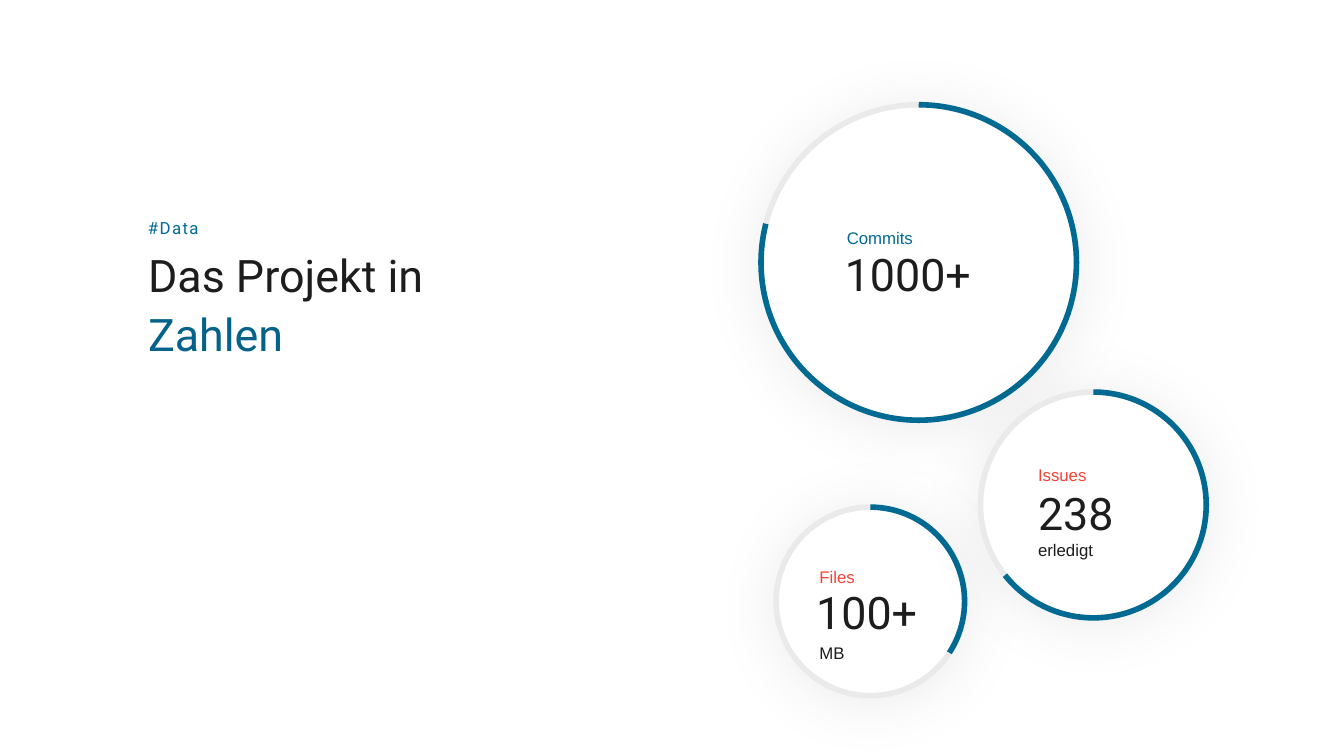
"""Build the slide with project figures in three progress rings."""
from lxml.etree import SubElement
from pptx import Presentation
from pptx.dml.color import RGBColor
from pptx.enum.shapes import MSO_SHAPE as Preset
from pptx.enum.text import MSO_ANCHOR as Anchor, MSO_AUTO_SIZE as AutoSize, PP_ALIGN as Align
from pptx.oxml.ns import qn
from pptx.util import Cm, Pt

WHITE = RGBColor(0xFF, 0xFF, 0xFF)
TRACK = RGBColor(0xEA, 0xEA, 0xEA)
BLUE = RGBColor(0x00, 0x6A, 0x92)
DEEP_BLUE = RGBColor(0x03, 0x62, 0x89)
RED = RGBColor(0xF4, 0x43, 0x36)
INK = RGBColor(0x1D, 0x1D, 0x1D)

START_ANGLE = 270
ADJUST_PER_DEGREE = 0.6


def write(paragraph, text, *, size=12, font="Arial", color=INK, spacing=1.5, tracking=0):
    """Put formatted text into a paragraph."""
    paragraph.alignment = Align.LEFT
    paragraph.line_spacing = spacing
    paragraph.space_before = Pt(0)
    run = paragraph.add_run()
    run.text = text
    run.font.size = Pt(size)
    run.font.name = font
    run.font.color.rgb = color
    if tracking:
        run.font._element.set("spc", str(tracking * 100))


def prepare(frame, anchor=Anchor.TOP, right=0, vertical=0):
    """Set wrapping, growth, anchor and margins of a text frame."""
    frame.word_wrap = True
    frame.auto_size = AutoSize.SHAPE_TO_FIT_TEXT
    frame.vertical_anchor = anchor
    frame.margin_left = 0
    frame.margin_right = Cm(right)
    frame.margin_top = frame.margin_bottom = Cm(vertical)


def add_text(shapes, box, text, *, anchor=Anchor.TOP, right=0.25, vertical=0, **style):
    """Add a one-line text box."""
    frame = shapes.add_textbox(*map(Cm, box)).text_frame
    prepare(frame, anchor, right, vertical)
    write(frame.paragraphs[0], text, **style)


def add_soft_shadow(shape):
    """Give a shape a wide, faint shadow below it."""
    effects = shape._element.spPr.find(qn("a:effectLst"))
    shadow = SubElement(effects, qn("a:outerShdw"), blurRad=str(Pt(45)), dist=str(Pt(3)),
                        dir="5400000", algn="t", rotWithShape="0")
    black = SubElement(shadow, qn("a:srgbClr"), val="000000")
    SubElement(black, qn("a:alpha"), val="8000")


def add_outline(shapes, preset, left, top, diameter, color):
    """Add a round shape with a thick line."""
    shape = shapes.add_shape(preset, Cm(left), Cm(top), Cm(diameter), Cm(diameter))
    shape.shadow.inherit = False
    shape.line.color.rgb = color
    shape.line.width = Pt(4)
    return shape


def add_ring(shapes, circle, end_angle):
    """Add a white disc with a progress arc from the top to an angle."""
    disc = add_outline(shapes, Preset.OVAL, *circle, TRACK)
    disc.fill.solid()
    disc.fill.fore_color.rgb = WHITE
    add_soft_shadow(disc)
    progress = add_outline(shapes, Preset.ARC, *circle, BLUE)
    progress.fill.background()
    progress.adjustments[0] = START_ANGLE * ADJUST_PER_DEGREE
    progress.adjustments[1] = end_angle * ADJUST_PER_DEGREE


def add_figure(slide, circle, end_angle, number, number_box, labels):
    """Add a ring with its number and labels as one group."""
    shapes = slide.shapes.add_group_shape().shapes
    add_ring(shapes, circle, end_angle)
    add_text(shapes, (*number_box, 1.35), number, vertical=0.13,
             size=32, font="Roboto", spacing=0.8)
    for text, left, top, color in labels:
        add_text(shapes, (left, top, 2.03, 0.66), text, color=color)


def add_heading(slide):
    """Fill the title placeholder and add the tag above it."""
    title = slide.shapes.title
    title.left, title.top, title.width, title.height = map(Cm, (3.73, 6.1, 11.33, 2.9))
    frame = title.text_frame
    prepare(frame)
    heading = {"size": 32, "font": "Roboto", "spacing": 1.1}
    write(frame.paragraphs[0], "Das Projekt in", **heading)
    write(frame.add_paragraph(), "Zahlen", color=DEEP_BLUE, **heading)
    add_text(slide.shapes, (3.73, 5.44, 5.03, 0.56), "#Data", anchor=Anchor.BOTTOM, right=0,
             font="Roboto", color=BLUE, spacing=1.2, tracking=1)


def main():
    """Create and save the presentation."""
    deck = Presentation()
    deck.slide_width, deck.slide_height = Cm(33.87), Cm(19.05)
    slide = deck.slides.add_slide(deck.slide_layouts[5])
    add_figure(slide, (19.56, 12.78, 4.75), 33.03, "100+", (20.57, 14.86, 4.04),
               [("MB", 20.65, 15.95, INK), ("Files", 20.65, 14.02, RED)])
    add_figure(slide, (19.18, 2.64, 7.95), 194.21, "1000+", (21.29, 6.35, 4.04),
               [("Commits", 21.34, 5.49, BLUE)])
    add_figure(slide, (24.71, 9.88, 5.69), 141.52, "238", (26.16, 12.37, 3.02),
               [("erledigt", 26.16, 13.34, INK), ("Issues", 26.16, 11.46, RED)])
    add_heading(slide)
    deck.save("out.pptx")


if __name__ == "__main__":
    main()
